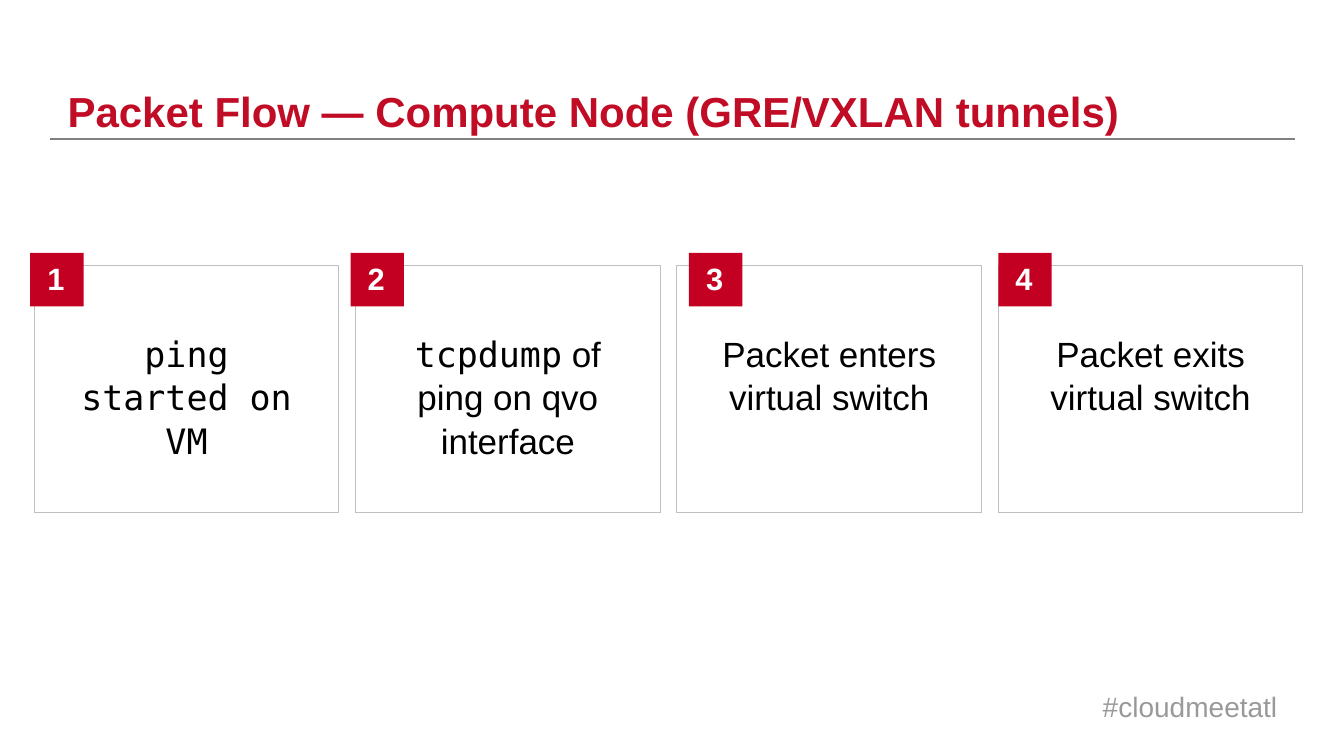
from pptx import Presentation
from pptx.dml.color import RGBColor
from pptx.enum.shapes import MSO_CONNECTOR, MSO_SHAPE
from pptx.enum.text import MSO_ANCHOR, PP_ALIGN
from pptx.oxml.ns import qn
from pptx.util import Inches, Pt
from lxml import etree

RECT = MSO_SHAPE.RECTANGLE
LEFT, CENTER, RIGHT = PP_ALIGN.LEFT, PP_ALIGN.CENTER, PP_ALIGN.RIGHT
TOP, BOTTOM = MSO_ANCHOR.TOP, MSO_ANCHOR.BOTTOM
SANS, MONO = "Arial", "DejaVu Sans Mono"

TITLE = "Packet Flow — Compute Node (GRE/VXLAN tunnels)"
HASHTAG = "#cloudmeetatl"
STEPS = [
    {"runs": [("ping started on VM", MONO)], "badge_shift": -0.04},
    {"runs": [("tcpdump", MONO), (" of ping on qvo interface", SANS)], "badge_shift": -0.05},
    {"runs": [("Packet enters virtual switch", SANS)], "badge_shift": 0.12},
    {"runs": [("Packet exits virtual switch", SANS)], "badge_shift": 0},
]
CARD_LEFT, CARD_TOP, CARD_W, CARD_H = 0.34, 2.63, 3.02, 2.45
CARD_STEP = 3.187
BADGE_TOP, BADGE_SIZE = 2.51, 0.53
TEXT_TOP, TEXT_W, TEXT_H = 3.23, 2.38, 0.99


def color(value):
    return RGBColor.from_string(value)


def box(*lengths):
    return [Inches(v) for v in lengths]


def write(shape, runs, size, ink, align=LEFT, anchor=TOP, bold=False,
          insets=(0, 0, 0, 0), wrap=True, spacing=1.0):
    tf = shape.text_frame
    tf.word_wrap = wrap
    tf.vertical_anchor = anchor
    tf.margin_left, tf.margin_top, tf.margin_right, tf.margin_bottom = box(*insets)
    p = tf.paragraphs[0]
    p.alignment = align
    p.line_spacing = spacing
    for text, font in runs:
        r = p.add_run()
        r.text = text
        r.font.name = font
        r.font.size = Pt(size)
        r.font.bold = bold
        r.font.color.rgb = color(ink)


def add_rect(s, place, fill=None, line=None):
    sp = s.shapes.add_shape(RECT, *box(*place))
    sp.shadow.inherit = False
    if fill:
        sp.fill.solid()
        sp.fill.fore_color.rgb = color(fill)
    else:
        sp.fill.background()
    if line:
        sp.line.color.rgb = color(line)
        sp.line.width = Pt(0.75)
    else:
        sp.line.fill.background()
    return sp


def add_step(s, index, step):
    left = CARD_LEFT + index * CARD_STEP
    add_rect(s, (left, CARD_TOP, CARD_W, CARD_H), line="BFBFBF")
    badge = add_rect(s, (left + step["badge_shift"], BADGE_TOP, BADGE_SIZE, BADGE_SIZE),
                     fill="C40022")
    write(badge, [(str(index + 1), SANS)], 22, "FFFFFF", anchor=BOTTOM, bold=True,
          insets=(0.17, 0, 0, 0.1), wrap=False)
    text_left = left + (CARD_W - TEXT_W) / 2
    label = s.shapes.add_textbox(*box(text_left, TEXT_TOP, TEXT_W, TEXT_H))
    write(label, step["runs"], 25, "000000", align=CENTER,
          insets=(0.1, 0.05, 0.1, 0.05), spacing=1.04)


def main():
    prs = Presentation()
    prs.slide_width, prs.slide_height = box(13.33, 7.5)
    s = prs.slides.add_slide(prs.slide_layouts[5])

    title = s.shapes.title
    title.left, title.top, title.width, title.height = box(0.67, 0.48, 12, 0.87)
    write(title, [(TITLE, SANS)], 30, "C10C26", anchor=BOTTOM, bold=True, wrap=False)

    rule = s.shapes.add_connector(MSO_CONNECTOR.STRAIGHT, *box(0.5, 1.38, 12.84, 1.38))
    rule.line.color.rgb = color("808080")
    rule.line.width = Pt(1.5)
    etree.SubElement(rule._element.spPr, qn("a:effectLst"))

    for index, step in enumerate(STEPS):
        add_step(s, index, step)

    footer = s.shapes.add_textbox(*box(9.57, 6.84, 3.1, 0.33))
    write(footer, [(HASHTAG, SANS)], 20, "999999", align=RIGHT)

    prs.save("out.pptx")


if __name__ == "__main__":
    main()
